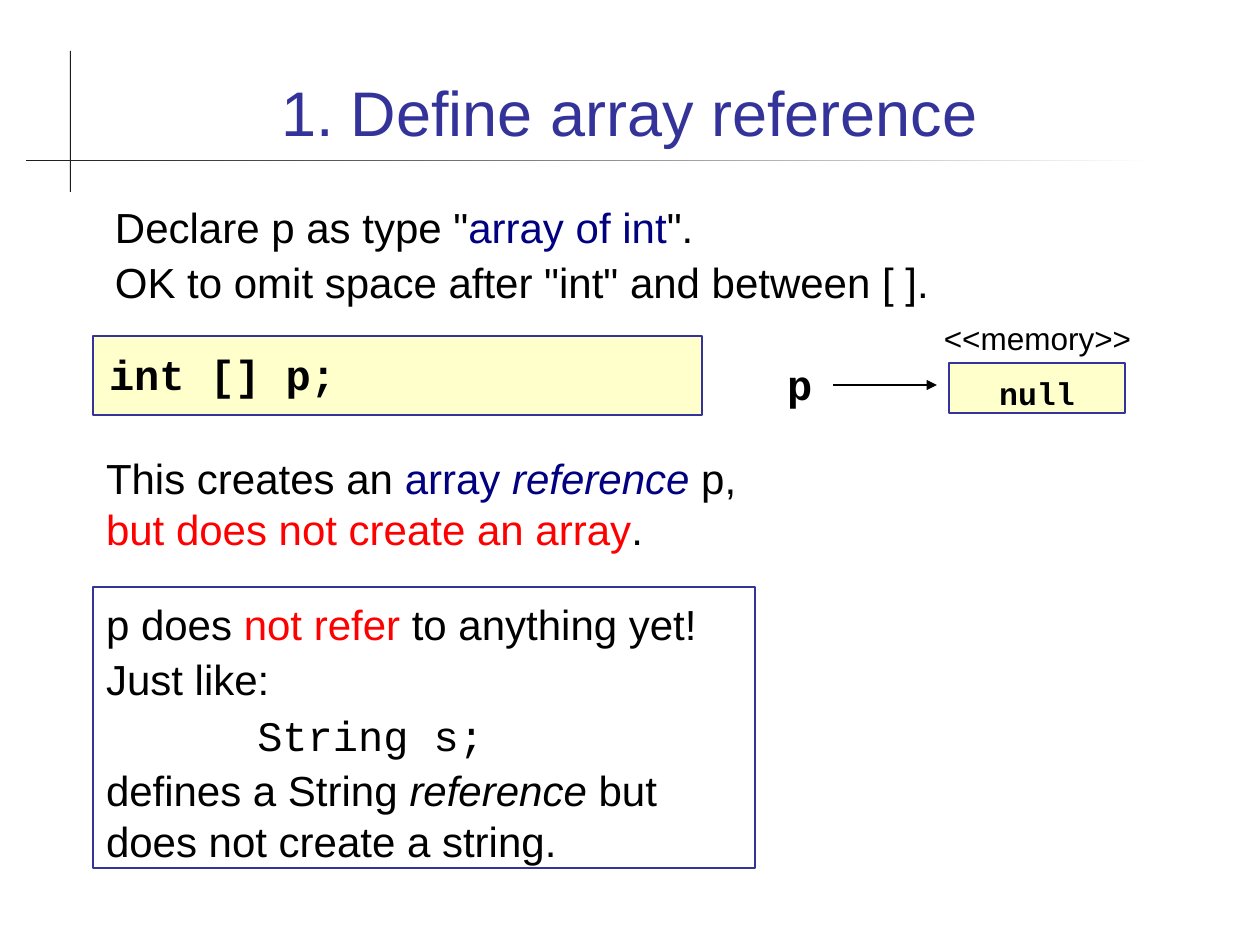
from dataclasses import dataclass
from typing import Optional

from lxml.etree import SubElement
from pptx import Presentation
from pptx.dml.color import RGBColor
from pptx.enum.shapes import MSO_CONNECTOR as Connector, MSO_SHAPE as Preset
from pptx.enum.text import MSO_ANCHOR as Anchor, PP_ALIGN as Align
from pptx.oxml.ns import qn
from pptx.util import Emu, Pt

PX_PER_INCH = 126
SIDE_INSET = 13
EDGE_INSET = 6


@dataclass(frozen=True)
class Theme:
    accent: str = "333399"
    cream: str = "FFFFCC"
    ink: str = "000000"
    navy: str = "000080"
    red: str = "FF0000"
    rule: str = "1C1C1C"
    paper: str = "FFFFFF"
    sans: str = "Arial"
    mono: str = "Courier New"
    title_size: int = 36
    body_size: int = 24
    label_size: int = 18
    paragraph_gap: int = 3


THEME = Theme()


@dataclass(frozen=True)
class Area:
    left: int
    top: int
    width: int
    height: int


@dataclass(frozen=True)
class Span:
    text: str
    color: str = THEME.ink
    font: str = THEME.sans
    size: int = THEME.body_size
    bold: bool = False
    italic: bool = False


@dataclass(frozen=True)
class Panel:
    area: Area
    paragraphs: list[list[Span]]
    top_inset: int = 11
    left_inset: int = SIDE_INSET
    align: Align = Align.LEFT
    fill: Optional[str] = None
    border: Optional[float] = None


PANELS = [
    Panel(
        Area(93, 336, 609, 79),
        [[Span("int [] p;", font=THEME.mono, bold=True)]],
        top_inset=12, left_inset=16, fill=THEME.cream, border=0.75,
    ),
    Panel(
        Area(949, 363, 176, 50),
        [[Span("null", font=THEME.mono, size=THEME.label_size, bold=True)]],
        align=Align.CENTER, fill=THEME.cream, border=1.5,
    ),
    Panel(
        Area(102, 190, 1057, 118),
        [
            [Span('Declare p as type "'), Span("array of int", THEME.navy), Span('".')],
            [Span('OK to omit space after "int" and between [ ].')],
        ],
    ),
    Panel(
        Area(93, 442, 662, 113),
        [[
            Span("This creates an "), Span("array ", THEME.navy),
            Span("reference", THEME.navy, italic=True), Span(" p, "),
            Span("but does not create an array", THEME.red), Span("."),
        ]],
    ),
    Panel(
        Area(774, 349, 54, 63),
        [[Span("p", font=THEME.mono, bold=True)]],
        top_inset=10,
    ),
    Panel(
        Area(93, 587, 662, 281),
        [
            [Span("p does "), Span("not refer", THEME.red), Span(" to anything yet!")],
            [Span("Just like:")],
            [Span("      String s;", font=THEME.mono)],
            [
                Span("defines a String "), Span("reference", italic=True),
                Span(" but does not create a string."),
            ],
        ],
        border=1,
    ),
    Panel(
        Area(895, 311, 285, 50),
        [[Span("<<memory>>", size=THEME.label_size)]],
        top_inset=8, align=Align.CENTER,
    ),
]


def px(length: int) -> Emu:
    return Emu(round(length * 914400 / PX_PER_INCH))


def rgb(color: str) -> RGBColor:
    return RGBColor.from_string(color)


def bounds(area: Area) -> list[Emu]:
    return [px(side) for side in (area.left, area.top, area.width, area.height)]


def apply(target, values: dict) -> None:
    for attribute, value in values.items():
        setattr(target, attribute, value)


def add_span(paragraph, span: Span) -> None:
    run = paragraph.add_run()
    run.text = span.text
    apply(run.font, {
        "name": span.font, "size": Pt(span.size),
        "bold": span.bold, "italic": span.italic,
    })
    run.font.color.rgb = rgb(span.color)


def add_box(slide, area: Area):
    box = slide.shapes.add_shape(Preset.RECTANGLE, *bounds(area))
    box.shadow.inherit = False
    return box


def add_panel(slide, panel: Panel) -> None:
    if panel.border is None:
        box = slide.shapes.add_textbox(*bounds(panel.area))
    else:
        box = add_box(slide, panel.area)
        box.line.color.rgb = rgb(THEME.accent)
        box.line.width = Pt(panel.border)
        if panel.fill:
            box.fill.solid()
            box.fill.fore_color.rgb = rgb(panel.fill)
        else:
            box.fill.background()
    frame = box.text_frame
    apply(frame, {
        "word_wrap": True, "vertical_anchor": Anchor.TOP,
        "margin_left": px(panel.left_inset), "margin_right": px(SIDE_INSET),
        "margin_top": px(panel.top_inset), "margin_bottom": px(EDGE_INSET),
    })
    for index, spans in enumerate(panel.paragraphs):
        paragraph = frame.add_paragraph() if index else frame.paragraphs[0]
        paragraph.alignment = panel.align
        if index:
            paragraph.space_before = Pt(THEME.paragraph_gap)
        for span in spans:
            add_span(paragraph, span)


def add_title_rules(slide) -> None:
    """Draw the solid upright rule and the level rule that fades to the right."""
    upright = add_box(slide, Area(70, 51, 1, 141))
    upright.fill.solid()
    upright.fill.fore_color.rgb = rgb(THEME.rule)
    level = add_box(slide, Area(26, 160, 1130, 1))
    level.fill.gradient()
    level.fill.gradient_angle = 0
    for stop, color in zip(level.fill.gradient_stops, (THEME.rule, THEME.paper)):
        stop.color.rgb = rgb(color)
    for rule in (upright, level):
        rule.line.fill.background()


def add_title(slide, text: str) -> None:
    title = slide.shapes.title
    places = bounds(Area(84, 35, 1091, 120))
    apply(title, dict(zip(("left", "top", "width", "height"), places)))
    title.text_frame.vertical_anchor = Anchor.BOTTOM
    paragraph = title.text_frame.paragraphs[0]
    paragraph.alignment = Align.CENTER
    add_span(paragraph, Span(text, THEME.accent, size=THEME.title_size))


def add_arrow(slide, start: int, end: int, level: int) -> None:
    arrow = slide.shapes.add_connector(
        Connector.STRAIGHT, px(start), px(level), px(end), px(level))
    arrow.line.color.rgb = rgb(THEME.ink)
    arrow.line.width = Pt(0.75)
    SubElement(arrow.line._get_or_add_ln(), qn("a:tailEnd"), type="triangle")
    SubElement(arrow._element.spPr, qn("a:effectLst"))


def main() -> None:
    deck = Presentation()
    deck.slide_width, deck.slide_height = px(1260), px(945)
    slide = deck.slides.add_slide(deck.slide_layouts[5])
    add_title_rules(slide)
    add_title(slide, "1. Define array reference")
    for panel in PANELS:
        add_panel(slide, panel)
    add_arrow(slide, start=833, end=937, level=385)
    deck.save("out.pptx")


if __name__ == "__main__":
    main()
